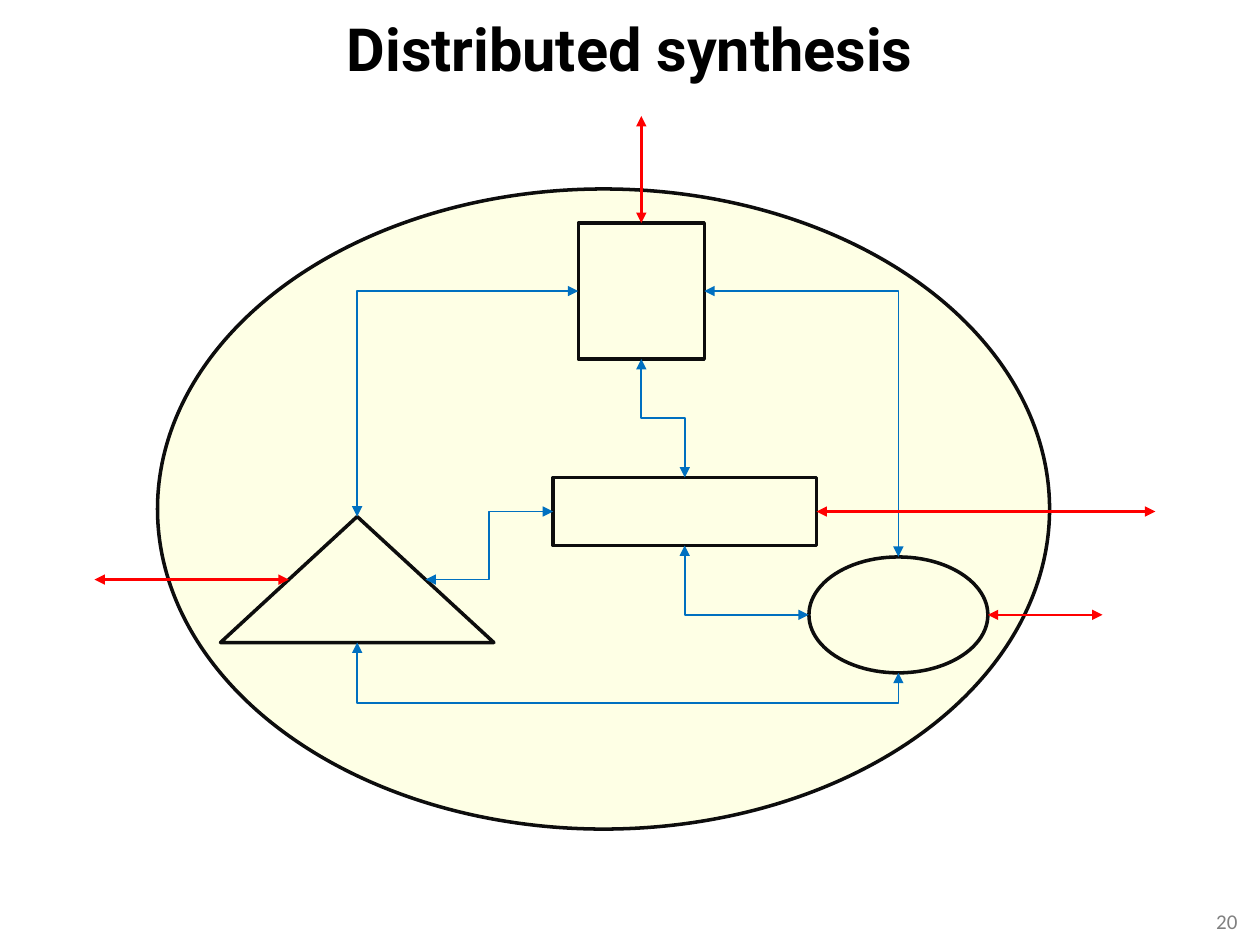
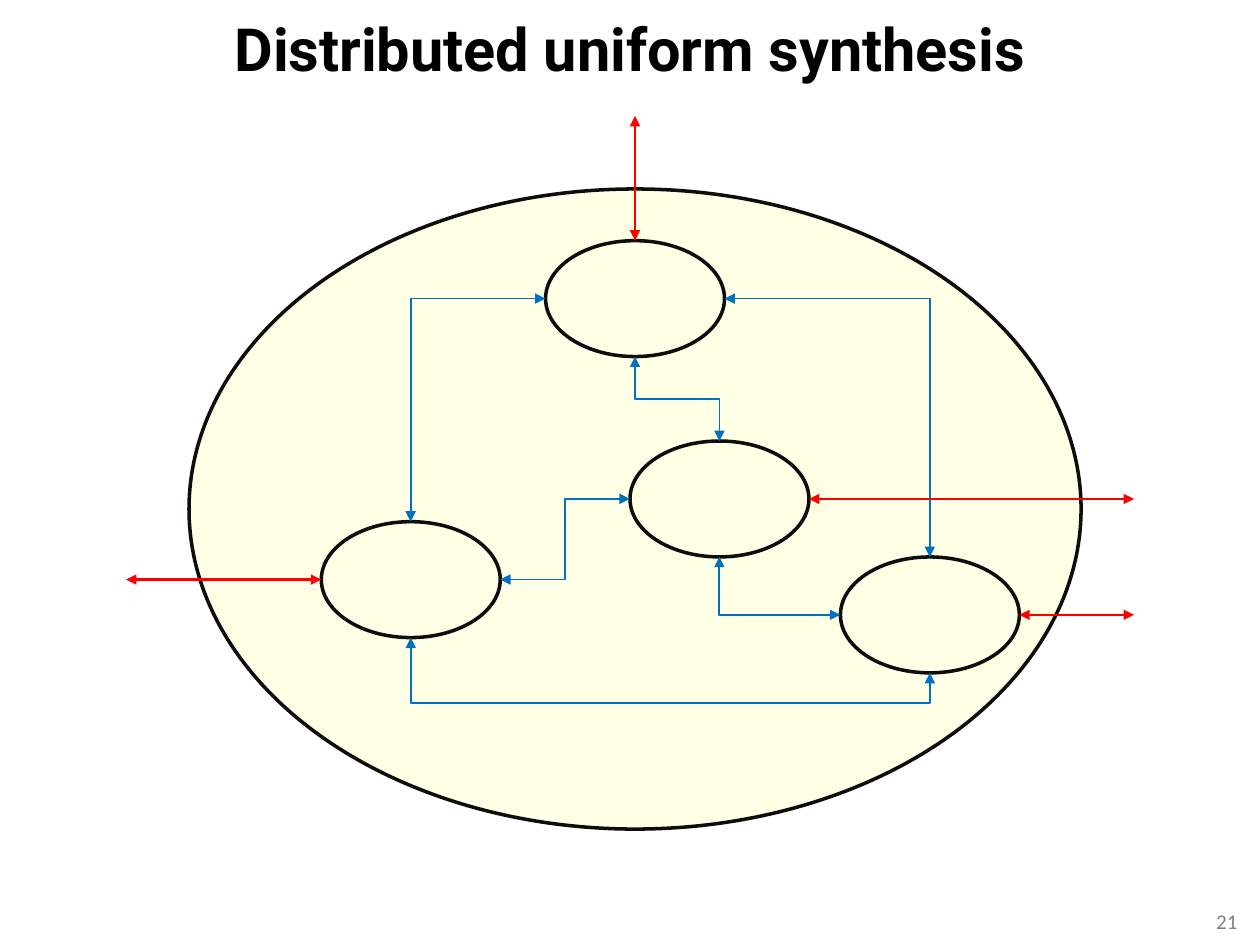
from dataclasses import dataclass

from lxml import etree
from pptx import Presentation
from pptx.dml.color import RGBColor
from pptx.enum.shapes import MSO_CONNECTOR, MSO_SHAPE
from pptx.enum.text import MSO_ANCHOR, MSO_AUTO_SIZE, PP_ALIGN
from pptx.oxml.ns import qn
from pptx.util import Inches, Pt

ELLIPSE = MSO_SHAPE.OVAL
RECTANGLE = MSO_SHAPE.RECTANGLE
TRIANGLE = MSO_SHAPE.ISOSCELES_TRIANGLE
STRAIGHT = MSO_CONNECTOR.STRAIGHT
ELBOW = MSO_CONNECTOR.ELBOW
CENTER, RIGHT = PP_ALIGN.CENTER, PP_ALIGN.RIGHT
MIDDLE, BOTTOM = MSO_ANCHOR.MIDDLE, MSO_ANCHOR.BOTTOM
NO_AUTOFIT = MSO_AUTO_SIZE.NONE
TITLE_ONLY = 5
QUARTER_TURN = "5400000"


@dataclass(frozen=True)
class Theme:
    ink: str = "000000"
    outline: str = "0D0D0D"
    system_fill: str = "FEFFE5"
    internal: str = "0070C0"
    external: str = "FF0000"
    muted: str = "808080"
    title_font: str = "Roboto"
    number_font: str = "Calibri"
    title_size: float = 34
    number_size: float = 12
    outline_width: float = 2
    internal_width: float = 1
    external_width: float = 1.5


THEME = Theme()

SITES = {
    RECTANGLE: {"top": 0, "left": 1, "bottom": 2, "right": 3},
    ELLIPSE: {"top": 0, "left": 2, "bottom": 4, "right": 6},
    TRIANGLE: {"top": 0, "left": 1, "bottom": 3, "right": 5},
}
SIDES = {"top": (0.5, 0), "left": (0, 0.5), "bottom": (0.5, 1), "right": (1, 0.5)}
TRIANGLE_SIDES = {**SIDES, "left": (0.25, 0.5), "right": (0.75, 0.5)}

CORNER_LINKS = [
    (("right", "left"), ("middle", "bottom")),
    (("top", "left"), ("left", "top")),
    (("top", "right"), ("right", "top")),
]
BOTTOM_LINK_Y = 5.58
NODE_SIZE = (1.42, 0.92)


@dataclass
class Node:
    shape: object
    kind: object
    bounds: tuple

    def point(self, side):
        left, top, width, height = self.bounds
        across, down = (TRIANGLE_SIDES if self.kind == TRIANGLE else SIDES)[side]
        return left + across * width, top + down * height


def color(value):
    return RGBColor.from_string(value)


def write(box, text, *, font, size, ink, align, anchor, bold=False):
    frame = box.text_frame
    frame.word_wrap = True
    frame.auto_size = NO_AUTOFIT
    frame.vertical_anchor = anchor
    para = frame.paragraphs[0]
    para.alignment = align
    span = para.add_run()
    span.text = text
    span.font.name = font
    span.font.size = Pt(size)
    span.font.bold = bold
    span.font.color.rgb = color(ink)


def add_node(page, kind, bounds, fill=None):
    shape = page.shapes.add_shape(kind, *map(Inches, bounds))
    shape.shadow.inherit = False
    if fill:
        shape.fill.solid()
        shape.fill.fore_color.rgb = color(fill)
    else:
        shape.fill.background()
    shape.line.color.rgb = color(THEME.outline)
    shape.line.width = Pt(THEME.outline_width)
    return Node(shape, kind, bounds)


def add_arrow(page, kind, start, end, ink, width):
    arrow = page.shapes.add_connector(kind, *map(Inches, (*start, *end)))
    arrow.line.color.rgb = color(ink)
    arrow.line.width = Pt(width)
    properties = arrow._element.spPr
    line = properties.find(qn("a:ln"))
    for tip in ("a:headEnd", "a:tailEnd"):
        etree.SubElement(line, qn(tip), type="triangle")
    etree.SubElement(properties, qn("a:effectLst"))
    return arrow


def attach(arrow, *ends):
    holder = arrow._element.nvCxnSpPr.cNvCxnSpPr
    for tag, (node, side) in zip(("a:stCxn", "a:endCxn"), ends):
        etree.SubElement(holder, qn(tag), id=str(node.shape.shape_id),
                         idx=str(SITES[node.kind][side]))


def add_link(page, first, second, *, corner=False, vertical=False, turn_y=None):
    start, end = (node.point(side) for node, side in (first, second))
    begin, finish = start, end
    if vertical:
        half_x, half_y = ((b - a) / 2 for a, b in zip(start, end))
        center_x, center_y = start[0] + half_x, start[1] + half_y
        begin = center_x - half_y, center_y + half_x
        finish = center_x + half_y, center_y - half_x
    arrow = add_arrow(page, ELBOW, begin, finish, THEME.internal, THEME.internal_width)
    properties = arrow._element.spPr
    geometry = properties.find(qn("a:prstGeom"))
    if corner:
        geometry.set("prst", "bentConnector2")
    if vertical:
        properties.find(qn("a:xfrm")).set("rot", QUARTER_TURN)
    if turn_y is not None:
        share = round((turn_y - start[1]) / (end[1] - start[1]) * 100000)
        etree.SubElement(geometry.find(qn("a:avLst")), qn("a:gd"),
                         name="adj1", fmla=f"val {share}")
    attach(arrow, first, second)


def add_external(page, node, side, reach):
    x, y = start = node.point(side)
    end = (x, reach) if side == "top" else (reach, y)
    arrow = add_arrow(page, STRAIGHT, start, end,
                      THEME.external, THEME.external_width)
    attach(arrow, (node, side))


def add_page(deck, title, number):
    page = deck.slides.add_slide(deck.slide_layouts[TITLE_ONLY])
    heading = page.shapes.title
    heading.left, heading.top, heading.width, heading.height = map(
        Inches, (0, 0, 10, 0.71))
    write(heading, title, font=THEME.title_font, size=THEME.title_size,
          ink=THEME.ink, align=CENTER, anchor=BOTTOM, bold=True)
    box = page.shapes.add_textbox(*map(Inches, (9.25, 7.11, 0.67, 0.4)))
    write(box, str(number), font=THEME.number_font, size=THEME.number_size,
          ink=THEME.muted, align=RIGHT, anchor=MIDDLE)
    return page


def add_system(page, left, processes, reaches):
    add_node(page, ELLIPSE, (left, 1.5, 7.08, 5.08), THEME.system_fill)
    nodes = {name: add_node(page, kind, bounds)
             for name, (kind, bounds) in processes.items()}
    add_link(page, (nodes["top"], "bottom"), (nodes["middle"], "top"), vertical=True)
    add_link(page, (nodes["middle"], "left"), (nodes["left"], "right"))
    add_link(page, (nodes["left"], "bottom"), (nodes["right"], "bottom"),
             vertical=True, turn_y=BOTTOM_LINK_Y)
    for (first, first_side), (second, second_side) in CORNER_LINKS:
        add_link(page, (nodes[first], first_side), (nodes[second], second_side),
                 corner=True)
    for name, reach in reaches.items():
        side = "right" if name == "middle" else name
        add_external(page, nodes[name], side, reach)


def main():
    deck = Presentation()
    deck.slide_width, deck.slide_height = Inches(10), Inches(7.5)

    mixed = {
        "top": (RECTANGLE, (4.59, 1.77, 1, 1.08)),
        "middle": (RECTANGLE, (4.39, 3.79, 2.09, 0.54)),
        "left": (TRIANGLE, (1.75, 4.1, 2.17, 1)),
        "right": (ELLIPSE, (6.42, 4.42, *NODE_SIZE)),
    }
    page = add_page(deck, "Distributed synthesis", 20)
    add_system(page, 1.25, mixed,
               {"top": 0.92, "left": 0.75, "right": 8.75, "middle": 9.17})

    corners = {"top": (4.33, 1.91), "middle": (5, 3.5),
               "left": (2.55, 4.14), "right": (6.67, 4.42)}
    uniform = {name: (ELLIPSE, (*corner, *NODE_SIZE))
               for name, corner in corners.items()}
    page = add_page(deck, "Distributed uniform synthesis", 21)
    add_system(page, 1.5, uniform,
               {"top": 0.92, "left": 1, "right": 9, "middle": 9})

    deck.save("out.pptx")


if __name__ == "__main__":
    main()
